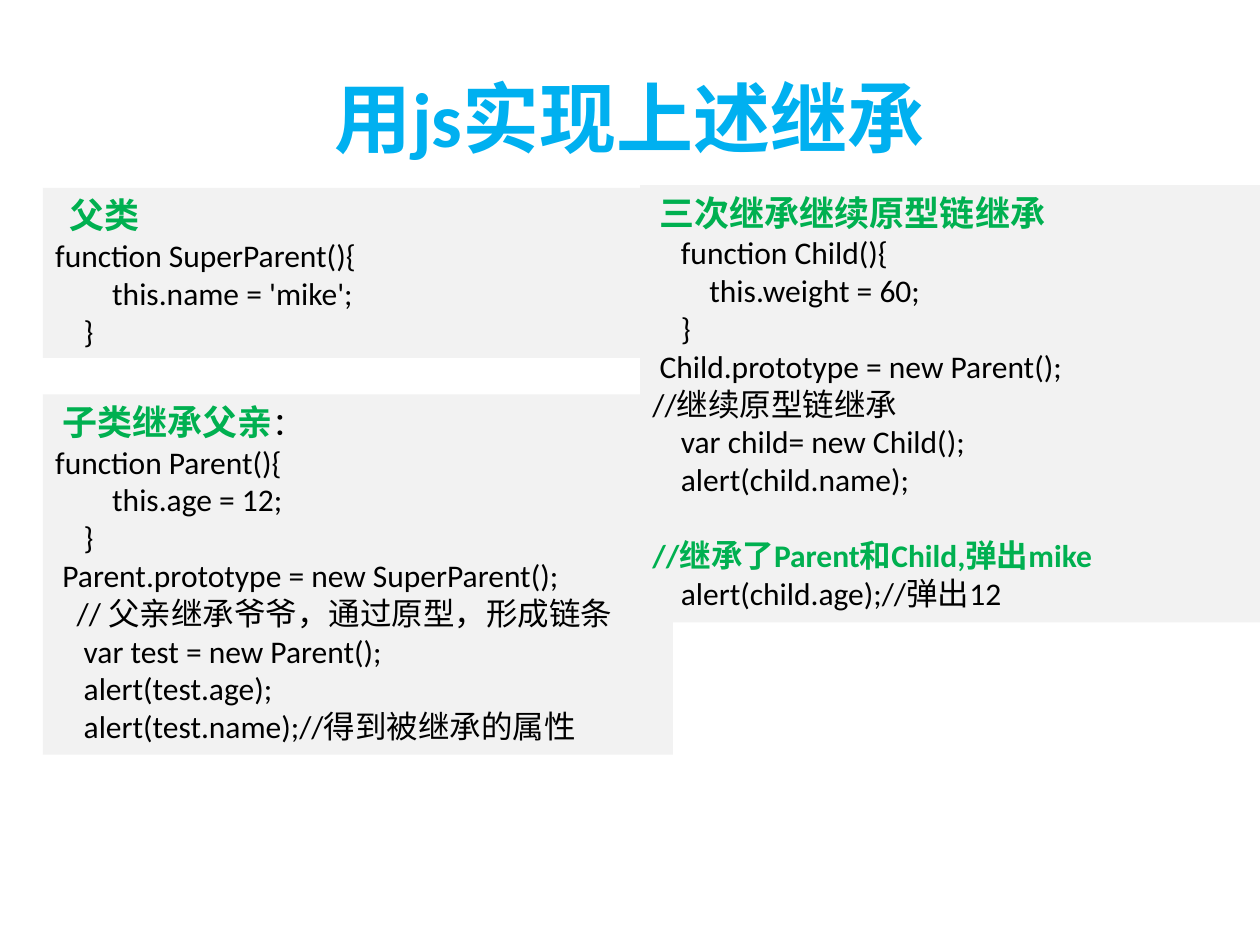
from pptx import Presentation
from pptx.dml.color import RGBColor
from pptx.enum.shapes import MSO_SHAPE as Shape
from pptx.enum.text import MSO_ANCHOR as Anchor, PP_ALIGN as Align
from pptx.util import Inches, Pt

FONT = "Calibri"
COLORS = {"title": "00B0F0", "accent": "00B050", "code": "000000", "panel": "F2F2F2"}
STYLES = {
    "title": (44, True, "title"),
    "heading": (20, True, "accent"),
    "note": (18, True, "accent"),
    "code": (18, False, "code"),
}
TITLE = "用js实现上述继承"
PANEL_WIDTH = 5
SPACE_WIDTH = 4.07
LINE_HEIGHT = 22

PANELS = [
    {
        "left": 0.34, "top": 1.49, "height": 1.35,
        "lines": [
            (2, [("父类", "heading")]),
            (0, [("function SuperParent(){", "code")]),
            (8, [("this.name = 'mike';", "code")]),
            (4, [("}", "code")]),
        ],
    },
    {
        "left": 0.34, "top": 3.13, "height": 2.86,
        "lines": [
            (1, [("子类继承父亲", "heading"), ("：", "code")]),
            (0, [("function Parent(){", "code")]),
            (8, [("this.age = 12;", "code")]),
            (4, [("}", "code")]),
            (1, [("Parent.prototype = new SuperParent();", "code")]),
            (3, [("// 父亲继承爷爷，通过原型，形成链条", "code")]),
            (4, [("var test = new Parent();", "code")]),
            (4, [("alert(test.age);", "code")]),
            (4, [("alert(test.name);//得到被继承的属性", "code")]),
        ],
    },
    {
        "left": 5.08, "top": 1.47, "height": 3.47,
        "lines": [
            (1, [("三次继承继续原型链继承", "heading")]),
            (4, [("function Child(){", "code")]),
            (8, [("this.weight = 60;", "code")]),
            (4, [("}", "code")]),
            (1, [("Child.prototype = new Parent();", "code")]),
            (0, [("//继续原型链继承", "code")]),
            (4, [("var child= new Child();", "code")]),
            (4, [("alert(child.name);", "code")]),
            (0, [("//继承了Parent和Child,弹出mike", "note")]),
            (4, [("alert(child.age);//弹出12", "code")]),
        ],
    },
]


def add_run(paragraph, text, style):
    size, bold, color = STYLES[style]
    run = paragraph.add_run()
    run.text = text
    run.font.name = FONT
    run.font.size = Pt(size)
    run.font.bold = bold
    run.font.color.rgb = RGBColor.from_string(COLORS[color])


def add_title(slide):
    box = slide.shapes.add_textbox(Inches(0.5), Inches(0.3), Inches(9), Inches(1.25))
    frame = box.text_frame
    frame.word_wrap = True
    frame.vertical_anchor = Anchor.MIDDLE
    paragraph = frame.paragraphs[0]
    paragraph.alignment = Align.CENTER
    add_run(paragraph, TITLE, "title")


def add_panel(slide, panel):
    shape = slide.shapes.add_shape(
        Shape.RECTANGLE, Inches(panel["left"]), Inches(panel["top"]),
        Inches(PANEL_WIDTH), Inches(panel["height"]))
    shape.shadow.inherit = False
    shape.fill.solid()
    shape.fill.fore_color.rgb = RGBColor.from_string(COLORS["panel"])
    shape.line.fill.background()
    frame = shape.text_frame
    frame.word_wrap = True
    frame.vertical_anchor = Anchor.TOP
    for index, (indent, runs) in enumerate(panel["lines"]):
        paragraph = frame.add_paragraph() if index else frame.paragraphs[0]
        paragraph.alignment = Align.LEFT
        properties = paragraph._p.get_or_add_pPr()
        properties.set("marL", str(Pt(indent * SPACE_WIDTH)))
        properties.set("indent", "0")
        if runs[0][1] == "note":
            paragraph.space_before = Pt(LINE_HEIGHT)
        for text, style in runs:
            add_run(paragraph, text, style)


def main():
    presentation = Presentation()
    presentation.slide_width = Inches(10)
    presentation.slide_height = Inches(7.5)
    slide = presentation.slides.add_slide(presentation.slide_layouts[6])
    add_title(slide)
    for panel in PANELS:
        add_panel(slide, panel)
    presentation.save("out.pptx")


if __name__ == "__main__":
    main()
